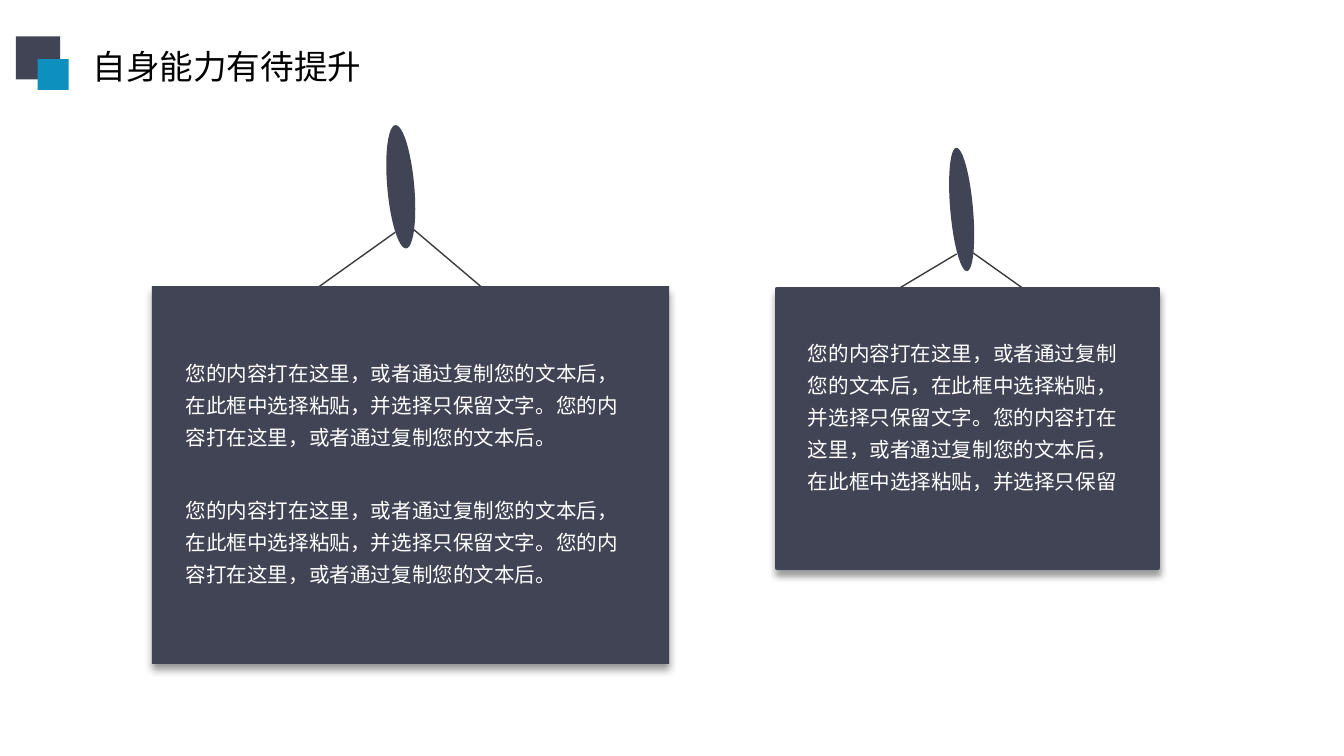
from lxml import etree
from pptx import Presentation
from pptx.dml.color import RGBColor
from pptx.enum.shapes import MSO_CONNECTOR, MSO_SHAPE
from pptx.enum.text import MSO_ANCHOR, MSO_AUTO_SIZE, PP_ALIGN
from pptx.oxml import parse_xml
from pptx.oxml.ns import nsdecls, qn
from pptx.util import Cm, Pt

COLORS = {"slate": "414455", "blue": "0E90BE", "cord": "3A3A3A",
          "white": "FFFFFF", "black": "000000"}
FONT = "Noto Sans CJK SC"
SHADOW = (f'<a:effectLst {nsdecls("a")}>'
          '<a:outerShdw blurRad="50800" dist="38100" dir="5400000" algn="t" rotWithShape="0">'
          f'<a:srgbClr val="{COLORS["black"]}"><a:alpha val="40000"/></a:srgbClr>'
          '</a:outerShdw></a:effectLst>')


def write_text(shape, text, size=11, color="white", spacing=1.3, wrap=True,
               margins=(0.18, 0.1)):
    frame = shape.text_frame
    frame.word_wrap = wrap
    frame.auto_size = MSO_AUTO_SIZE.SHAPE_TO_FIT_TEXT
    frame.vertical_anchor = MSO_ANCHOR.TOP
    frame.margin_left = frame.margin_right = Cm(margins[0])
    frame.margin_top = frame.margin_bottom = Cm(margins[1])
    paragraph = frame.paragraphs[0]
    paragraph.alignment = PP_ALIGN.LEFT
    paragraph.line_spacing = spacing
    run = paragraph.add_run()
    run.text = text
    run.font.size = Pt(size)
    run.font.name = FONT
    run.font.color.rgb = RGBColor.from_string(COLORS[color])
    east_asian = etree.SubElement(run.font._element, qn("a:ea"))
    east_asian.set("typeface", FONT)


def add_filled_shape(slide, kind, box, color="slate"):
    shape = slide.shapes.add_shape(kind, *[Cm(value) for value in box])
    shape.shadow.inherit = False
    shape.fill.solid()
    shape.fill.fore_color.rgb = RGBColor.from_string(COLORS[color])
    shape.line.fill.background()
    return shape


presentation = Presentation()
presentation.slide_width = Cm(25.4)
presentation.slide_height = Cm(14.29)
slide = presentation.slides.add_slide(presentation.slide_layouts[5])

# Title with its two overlapping squares
title = slide.shapes.title
title.left, title.top, title.width, title.height = Cm(1.5), Cm(0.74), Cm(5.64), Cm(1.02)
write_text(title, "自身能力有待提升", size=18, color="black", spacing=1.0,
           wrap=False, margins=(0.25, 0.13))
add_filled_shape(slide, MSO_SHAPE.RECTANGLE, (0.3, 0.69, 0.84, 0.81))
add_filled_shape(slide, MSO_SHAPE.RECTANGLE, (0.71, 1.12, 0.59, 0.58), "blue")

# Hanging boards: cords, peg, panel and texts
opening = "您的内容打在这里，或者通过复制您的文本后"
sentence = f"{opening}，在此框中选择粘贴，并选择只保留"
short_text = f"{sentence}文字。{opening}。"
long_text = f"{sentence}文字。{sentence}"
boards = [
    {"cords": [(5.97, 5.46, 7.47, 4.39), (7.82, 4.34, 9.14, 5.46)],
     "peg": (7.32, 2.36, 0.51, 2.34),
     "panel": (2.87, 5.41, 9.78, 7.14), "border": 0,
     "texts": [((3.33, 6.58, 8.66, 1.96), short_text),
               ((3.33, 9.17, 8.66, 1.96), short_text)]},
    {"cords": [(16.84, 5.54, 18.08, 4.8), (18.39, 4.78, 19.46, 5.54)],
     "peg": (17.96, 2.79, 0.43, 2.34),
     "panel": (14.68, 5.46, 7.21, 5.28), "border": 2,
     "texts": [((15.09, 6.2, 6.4, 3.2), long_text)]},
]
for board in boards:
    for ends in board["cords"]:
        cord = slide.shapes.add_connector(MSO_CONNECTOR.STRAIGHT,
                                          *[Cm(value) for value in ends])
        cord.line.color.rgb = RGBColor.from_string(COLORS["cord"])
        cord.line.width = Pt(0.75)
        etree.SubElement(cord._element.spPr, qn("a:effectLst"))

    peg = add_filled_shape(slide, MSO_SHAPE.OVAL, board["peg"])
    peg.rotation = 355

    panel = add_filled_shape(slide, MSO_SHAPE.RECTANGLE, board["panel"])
    if board["border"]:
        panel.line.color.rgb = RGBColor.from_string(COLORS["slate"])
        panel.line.width = Pt(board["border"])
    properties = panel._element.spPr
    properties.replace(properties.find(qn("a:effectLst")), parse_xml(SHADOW))

    for box, text in board["texts"]:
        text_box = slide.shapes.add_textbox(*[Cm(value) for value in box])
        write_text(text_box, text)

presentation.save("out.pptx")
